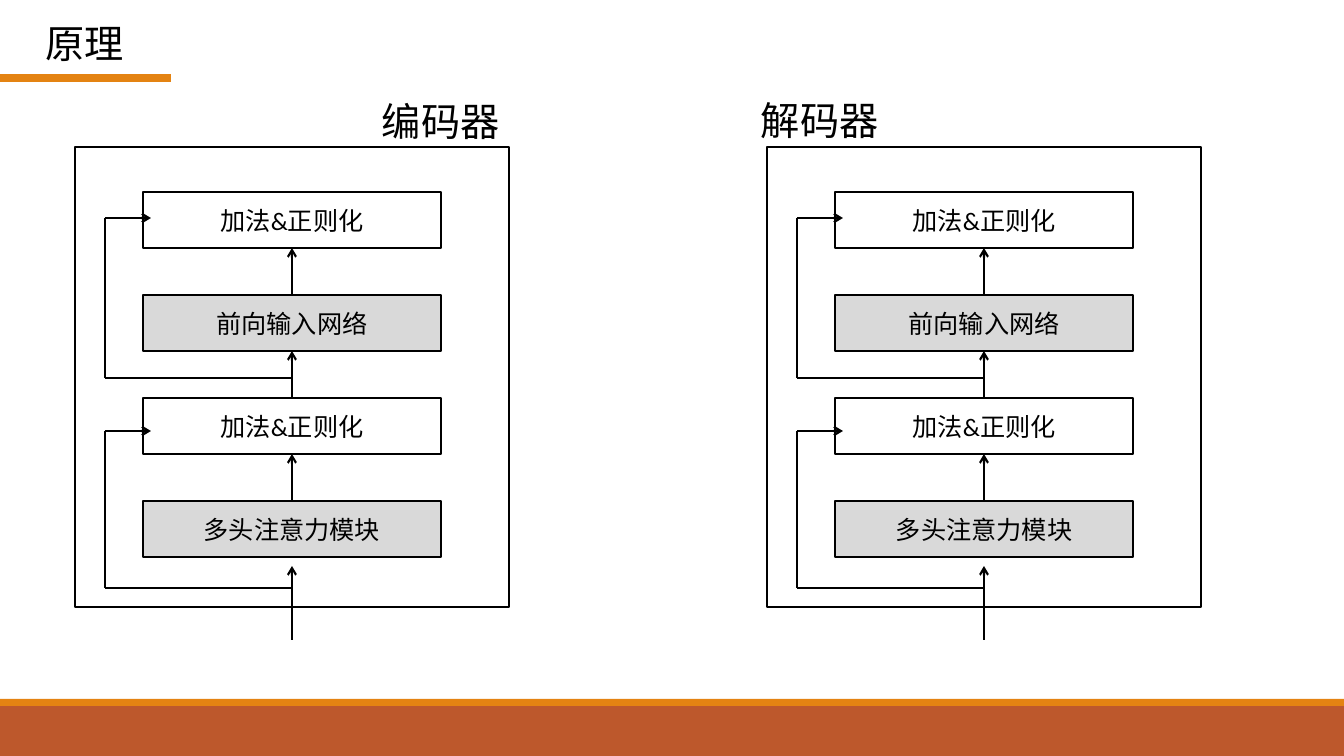
import dataclasses

import lxml.etree
import pptx
import pptx.dml.color
import pptx.enum.shapes
import pptx.enum.text
import pptx.oxml.ns
import pptx.util

SLIDE_WIDTH, SLIDE_HEIGHT = 1344, 756
EMU_PER_PX = 914400 / 100.8
TOP, BOTTOM = 0, 2  # connection sites of a rectangle

ALIGN = pptx.enum.text.PP_ALIGN
ANCHOR = pptx.enum.text.MSO_ANCHOR
AUTO_SIZE = pptx.enum.text.MSO_AUTO_SIZE


@dataclasses.dataclass(frozen=True)
class Theme:
    font: str = "Calibri"
    ink: str = "000000"
    paper: str = "FFFFFF"
    grey: str = "D9D9D9"
    orange: str = "E48312"
    rust: str = "BD582C"
    heading_size: int = 28
    block_size: int = 18
    outline: float = 1.25
    flow: float = 1.5
    accent: float = 6


THEME = Theme()

# Listed from the bottom of the stack to the top
LAYERS = [
    ("多头注意力模块", THEME.grey),
    ("加法&正则化", THEME.paper),
    ("前向输入网络", THEME.grey),
    ("加法&正则化", THEME.paper),
]
BLOCK_WIDTH, BLOCK_HEIGHT, BLOCK_PITCH = 298, 56, 103
LOWEST_BLOCK_TOP = 501
# Branch height and return height of each residual path
RESIDUALS = [(588, 431), (378, 218)]


def px(length):
    return pptx.util.Emu(round(length * EMU_PER_PX))


def rgb(code):
    return pptx.dml.color.RGBColor.from_string(code)


def write(shape, text, size=THEME.heading_size, align=ALIGN.LEFT,
          anchor=ANCHOR.TOP, wrap=False, auto_size=AUTO_SIZE.SHAPE_TO_FIT_TEXT):
    frame = shape.text_frame
    frame.text = text
    frame.word_wrap = wrap
    frame.auto_size = auto_size
    frame.vertical_anchor = anchor
    paragraph = frame.paragraphs[0]
    paragraph.alignment = align
    font = paragraph.runs[0].font
    font.name = THEME.font
    font.size = pptx.util.Pt(size)
    font.color.rgb = rgb(THEME.ink)


def add_box(slide, left, top, width, height, fill, outlined=True):
    box = slide.shapes.add_shape(
        pptx.enum.shapes.MSO_SHAPE.RECTANGLE,
        px(left), px(top), px(width), px(height))
    box.shadow.inherit = False
    box.fill.solid()
    box.fill.fore_color.rgb = rgb(fill)
    if outlined:
        box.line.color.rgb = rgb(THEME.ink)
        box.line.width = pptx.util.Pt(THEME.outline)
    else:
        box.line.fill.background()
    return box


def add_line(slide, start, end, arrow=False, color=THEME.ink, weight=THEME.flow):
    line = slide.shapes.add_connector(
        pptx.enum.shapes.MSO_CONNECTOR.STRAIGHT,
        px(start[0]), px(start[1]), px(end[0]), px(end[1]))
    line.line.color.rgb = rgb(color)
    line.line.width = pptx.util.Pt(weight)
    qn = pptx.oxml.ns.qn
    properties = line.element.spPr
    if arrow:
        lxml.etree.SubElement(
            properties.find(qn("a:ln")), qn("a:tailEnd"), type="arrow")
    lxml.etree.SubElement(properties, qn("a:effectLst"))
    return line


def add_heading(slide, text, left, top):
    heading = slide.shapes.add_textbox(px(left), px(top), px(139), px(57))
    write(heading, text)


def add_residual(slide, side, center, branch, back):
    add_line(slide, (side, branch), (side, back))
    add_line(slide, (side, branch), (center, branch))
    add_line(slide, (side, back), (side + 46, back), arrow=True)


def add_stack(slide, left):
    """Draw one frame with its layers, flow arrows and residual paths."""
    add_box(slide, left, 147, 434, 460, THEME.paper)
    block_left = left + 68
    center = block_left + BLOCK_WIDTH // 2

    # Layers, joined upwards
    add_line(slide, (center, 640), (center, 566), arrow=True)
    below = None
    for level, (name, fill) in enumerate(LAYERS):
        top = LOWEST_BLOCK_TOP - level * BLOCK_PITCH
        block = add_box(slide, block_left, top, BLOCK_WIDTH, BLOCK_HEIGHT, fill)
        write(block, name, size=THEME.block_size, align=ALIGN.CENTER,
              anchor=ANCHOR.MIDDLE, wrap=True, auto_size=AUTO_SIZE.NONE)
        if below is not None:
            flow = add_line(slide, (center, top + BLOCK_PITCH),
                            (center, top + BLOCK_HEIGHT), arrow=True)
            flow.begin_connect(below, TOP)
            flow.end_connect(block, BOTTOM)
        below = block

    # Residual paths
    for branch, back in RESIDUALS:
        add_residual(slide, left + 30, center, branch, back)


def main():
    deck = pptx.Presentation()
    deck.slide_width, deck.slide_height = px(SLIDE_WIDTH), px(SLIDE_HEIGHT)
    slide = deck.slides.add_slide(deck.slide_layouts.get_by_name("Title Only"))

    # Footer bands and title underline
    add_box(slide, 0, 706, SLIDE_WIDTH, 50, THEME.rust, outlined=False)
    add_box(slide, 0, 699, SLIDE_WIDTH, 7, THEME.orange, outlined=False)
    add_line(slide, (0, 78), (171, 78), color=THEME.orange, weight=THEME.accent)

    # Title
    title = slide.shapes.title
    title.left, title.top = px(35), px(14)
    title.width, title.height = px(100), px(57)
    write(title, "原理")

    # Encoder and decoder
    add_heading(slide, "编码器", 372, 92)
    add_stack(slide, 75)
    add_heading(slide, "解码器", 751, 91)
    add_stack(slide, 767)

    deck.save("out.pptx")


if __name__ == "__main__":
    main()
